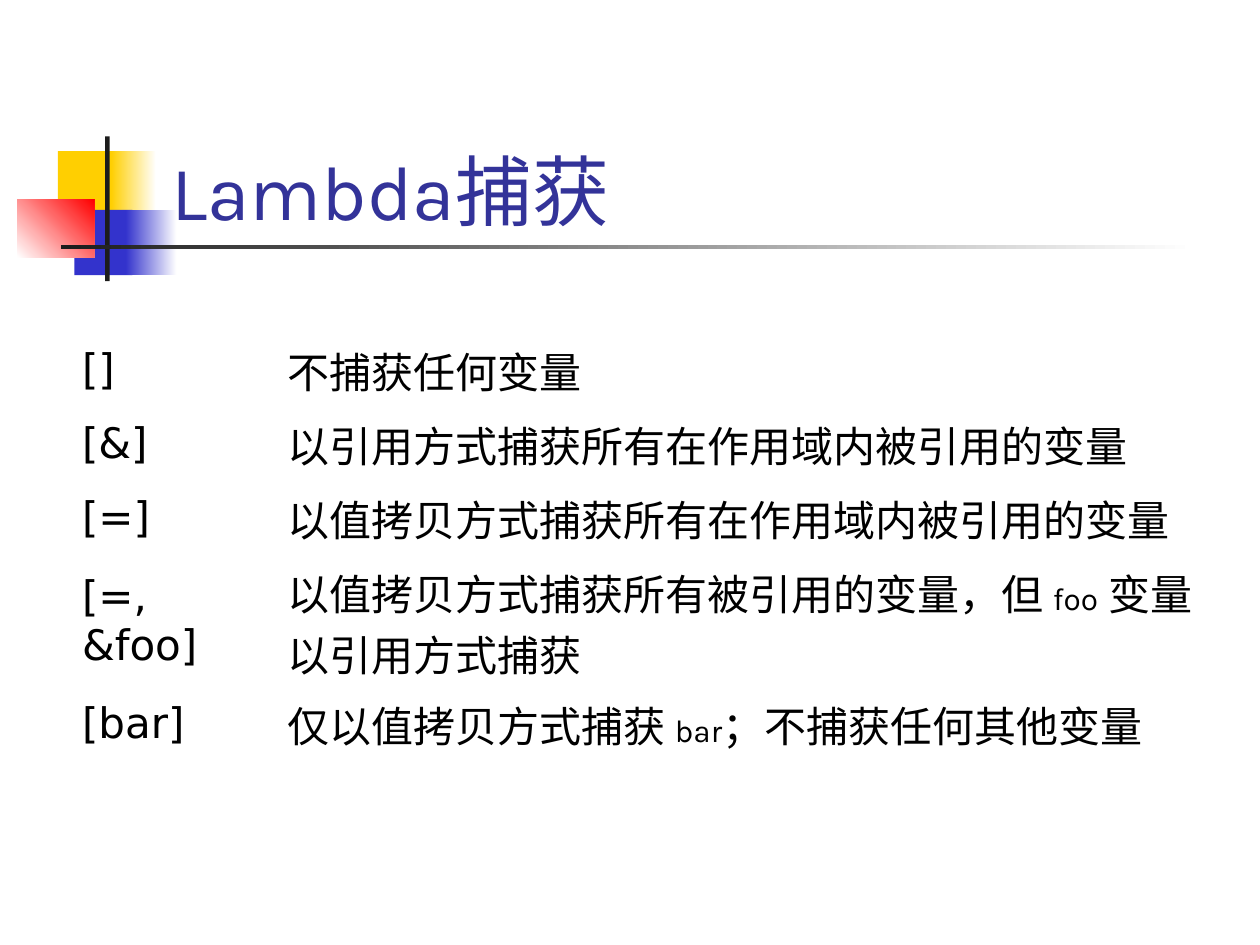
import dataclasses

import pptx
import pptx.dml.color
import pptx.enum.shapes
import pptx.enum.text
import pptx.util

Cm = pptx.util.Cm
COLORS = {
    "yellow": "FFCF01",
    "blue": "3333CC",
    "red": "FF0000",
    "dark": "1C1C1C",
    "white": "FFFFFF",
    "title": "333399",
    "text": "000000",
}
ROW_HEIGHT = 1.49
TALL_ROW_HEIGHT = 2.66


@dataclasses.dataclass(frozen=True)
class Block:
    left: float
    top: float
    width: float
    height: float
    colors: tuple[str, ...]
    angle: int = 0


@dataclasses.dataclass(frozen=True)
class Capture:
    syntax: str
    meaning: tuple[str, ...]
    height: float = ROW_HEIGHT


BLOCKS = [
    Block(1.17, 3.05, 1.22, 1.32, ("yellow",)),
    Block(2.24, 3.05, 0.91, 1.32, ("yellow", "white")),
    Block(1.5, 4.23, 1.17, 1.32, ("blue",)),
    Block(2.54, 4.23, 1.02, 1.32, ("blue", "white")),
    Block(0.35, 4.02, 1.55, 1.17, ("white", "red"), 45),
    Block(2.12, 2.75, 0.09, 2.92, ("dark",)),
    Block(1.23, 4.94, 22.86, 0.09, ("dark", "white")),
]
CAPTURES = [
    Capture("[]", ("不捕获任何变量",)),
    Capture("[&]", ("以引用方式捕获所有在作用域内被引用的变量",)),
    Capture("[=]", ("以值拷贝方式捕获所有在作用域内被引用的变量",)),
    Capture(
        "[=, &foo]",
        ("以值拷贝方式捕获所有被引用的变量，但 ", "foo", " 变量以引用方式捕获"),
        TALL_ROW_HEIGHT,
    ),
    Capture("[bar]", ("仅以值拷贝方式捕获 ", "bar", "；不捕获任何其他变量")),
]
COLUMN_WIDTHS = (4.14, 19.35)
TITLE_FORMAT = {"name": "Karla", "size": pptx.util.Pt(44)}
SYNTAX_FORMAT = {"name": "DejaVu Sans", "size": pptx.util.Pt(24)}
MEANING_FORMAT = {"name": "Karla", "size": pptx.util.Pt(24)}
VARIABLE_FORMAT = {"name": "Karla", "size": pptx.util.Pt(18)}


def rgb(color: str) -> pptx.dml.color.RGBColor:
    return pptx.dml.color.RGBColor.from_string(COLORS[color])


def add_run(paragraph, words: str, formats: dict, color: str = "text") -> None:
    run = paragraph.add_run()
    run.text = words
    for attribute, value in formats.items():
        setattr(run.font, attribute, value)
    run.font.color.rgb = rgb(color)


def draw_block(slide, block: Block) -> None:
    bounds = map(Cm, (block.left, block.top, block.width, block.height))
    rectangle = slide.shapes.add_shape(pptx.enum.shapes.MSO_SHAPE.RECTANGLE, *bounds)
    rectangle.shadow.inherit = False
    rectangle.line.fill.background()
    if len(block.colors) == 1:
        rectangle.fill.solid()
        rectangle.fill.fore_color.rgb = rgb(block.colors[0])
    else:
        rectangle.fill.gradient()
        rectangle.fill.gradient_angle = block.angle
        for stop, color in zip(rectangle.fill.gradient_stops, block.colors):
            stop.color.rgb = rgb(color)


def draw_title(slide, words: str) -> None:
    title = slide.shapes.add_textbox(Cm(3.2), Cm(1.72), Cm(21.64), Cm(3.17)).text_frame
    title.word_wrap = True
    title.vertical_anchor = pptx.enum.text.MSO_ANCHOR.BOTTOM
    add_run(title.paragraphs[0], words, TITLE_FORMAT, "title")


def draw_captures(slide, captures: list[Capture]) -> None:
    table = slide.shapes.add_table(
        len(captures), len(COLUMN_WIDTHS), Cm(1.4), Cm(6.72),
        Cm(sum(COLUMN_WIDTHS)), Cm(sum(capture.height for capture in captures)),
    ).table
    table.first_row = False
    table.horz_banding = False
    for column, width in zip(table.columns, COLUMN_WIDTHS):
        column.width = Cm(width)
    for row, capture in zip(table.rows, captures):
        row.height = Cm(capture.height)
        for cell in row.cells:
            cell.fill.solid()
            cell.fill.fore_color.rgb = rgb("white")
            cell.vertical_anchor = pptx.enum.text.MSO_ANCHOR.MIDDLE
        syntax, meaning = (cell.text_frame.paragraphs[0] for cell in row.cells)
        add_run(syntax, capture.syntax, SYNTAX_FORMAT)
        for position, words in enumerate(capture.meaning):
            add_run(meaning, words, VARIABLE_FORMAT if position == 1 else MEANING_FORMAT)


def main() -> None:
    """Build the slide on lambda captures."""
    presentation = pptx.Presentation()
    presentation.slide_width = Cm(25.4)
    presentation.slide_height = Cm(19.05)
    slide = presentation.slides.add_slide(presentation.slide_layouts[6])
    for block in BLOCKS:
        draw_block(slide, block)
    draw_title(slide, "Lambda捕获")
    draw_captures(slide, CAPTURES)
    presentation.save("out.pptx")


if __name__ == "__main__":
    main()
